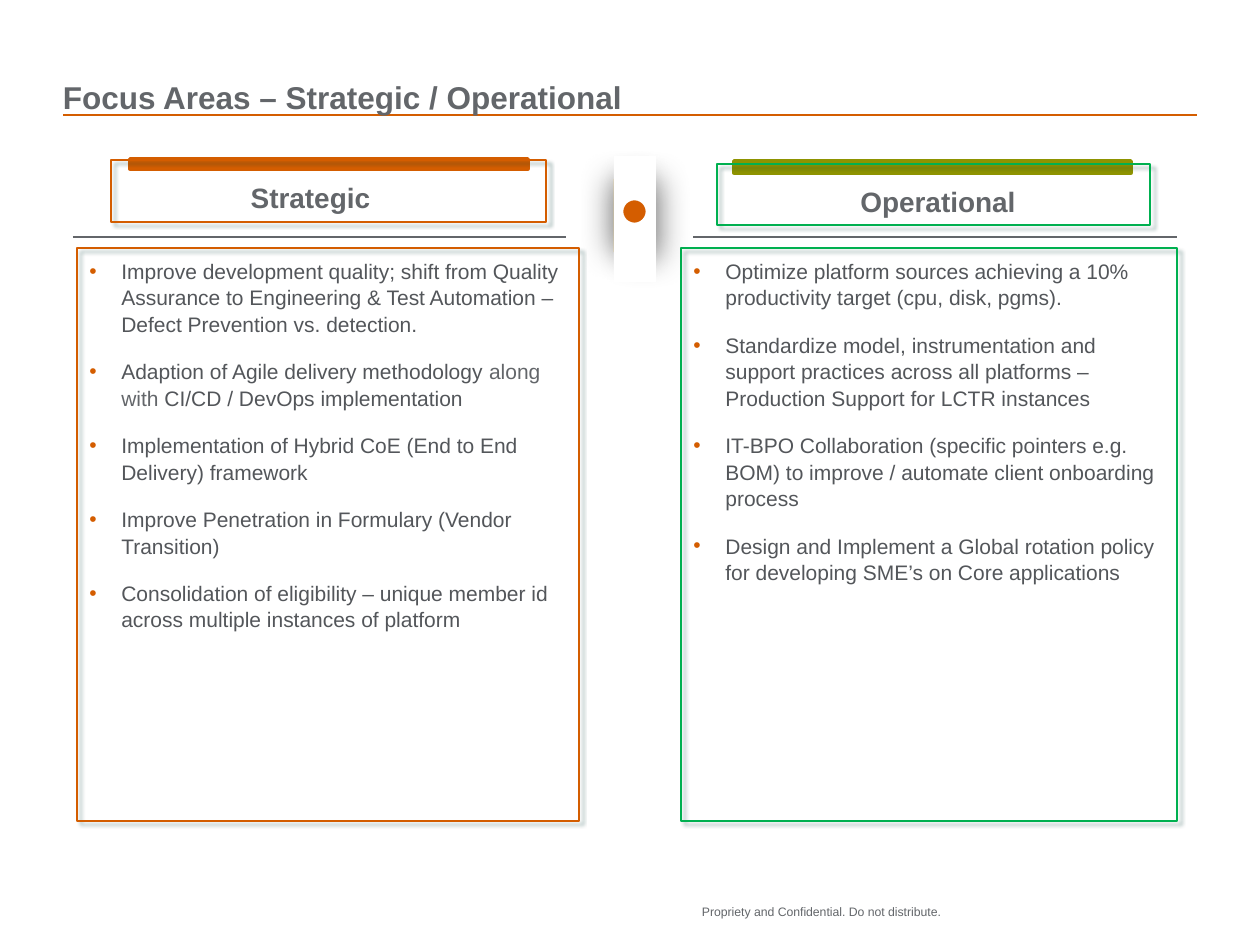
from lxml import etree
from pptx import Presentation
from pptx.dml.color import RGBColor
from pptx.enum.shapes import MSO_CONNECTOR, MSO_SHAPE
from pptx.enum.text import MSO_ANCHOR, PP_ALIGN
from pptx.oxml.ns import qn
from pptx.util import Emu, Pt

EMU_PER_PX = 914400 / 126
FONT = "Arial"
ORANGE, GREEN, OLIVE, GOLD = "D45D00", "00B050", "8E9300", "EAAA00"
GRAY, DARK_GRAY, WHITE = "63666A", "53565A", "FFFFFF"
BOX_SHADOW = ("073C37", 2, 3, 45)

STRATEGIC = [
    ["Improve development quality; shift from Quality Assurance to Engineering "
     "& Test Automation – Defect Prevention vs. detection."],
    ["Adaption of Agile delivery methodology ", "along with ",
     "CI/CD / DevOps implementation"],
    ["Implementation of Hybrid CoE (End to End Delivery) framework"],
    ["Improve Penetration in Formulary (Vendor Transition)"],
    ["Consolidation of eligibility – unique member id across multiple "
     "instances of platform"],
]
OPERATIONAL = [
    ["Optimize platform sources achieving a 10% productivity target "
     "(cpu, disk, pgms)."],
    ["Standardize model, instrumentation and support practices across all "
     "platforms – Production Support for LCTR instances"],
    ["IT-BPO Collaboration (specific pointers e.g. BOM) to improve / automate "
     "client onboarding process"],
    ["Design and Implement a Global rotation policy for developing SME’s on "
     "Core applications"],
]


def px(value):
    return Emu(round(value * EMU_PER_PX))


def color(hex_value):
    return RGBColor.from_string(hex_value)


def add_effects(shape, shadow=None):
    """Write the effect list: empty, or one (color, blur, distance, angle) shadow."""
    effects = etree.SubElement(shape._element.spPr, qn("a:effectLst"))
    if shadow:
        shade, blur, distance, angle = shadow
        outer = etree.SubElement(
            effects, qn("a:outerShdw"), blurRad=str(Pt(blur)),
            dist=str(Pt(distance)), dir=str(angle * 60000), rotWithShape="0")
        rgb = etree.SubElement(outer, qn("a:srgbClr"), val=shade)
        etree.SubElement(rgb, qn("a:alpha"), val="40000")


def add_shape(shapes, box, fill=None, line=None, width=1, shadow=None,
              kind=MSO_SHAPE.RECTANGLE):
    shape = shapes.add_shape(kind, *map(px, box))
    if fill:
        shape.fill.solid()
        shape.fill.fore_color.rgb = color(fill)
    else:
        shape.fill.background()
    if line:
        shape.line.color.rgb = color(line)
        shape.line.width = Pt(width)
    else:
        shape.line.fill.background()
    add_effects(shape, shadow)
    return shape


def add_rule(slide, left, right, y, line):
    rule = slide.shapes.add_connector(
        MSO_CONNECTOR.STRAIGHT, px(left), px(y), px(right), px(y))
    rule.line.color.rgb = color(line)
    rule.line.width = Pt(1)
    add_effects(rule)


def format_font(font, size, ink, bold=False):
    font.name = FONT
    font.size = Pt(size)
    font.bold = bold
    font.color.rgb = color(ink)


def add_text(slide, box, text, size, bold=False, align=PP_ALIGN.LEFT,
             anchor=MSO_ANCHOR.TOP, inset=True, wrap=True):
    frame = slide.shapes.add_textbox(*map(px, box)).text_frame
    frame.word_wrap = wrap
    frame.vertical_anchor = anchor
    if not inset:
        frame.margin_left = frame.margin_right = 0
        frame.margin_top = frame.margin_bottom = 0
    frame.text = text
    paragraph = frame.paragraphs[0]
    paragraph.alignment = align
    format_font(paragraph.runs[0].font, size, GRAY, bold)


def set_bullet(paragraph):
    properties = paragraph._p.get_or_add_pPr()
    properties.set("marL", str(px(32)))
    properties.set("indent", str(px(-32)))
    bullet_color = etree.SubElement(properties, qn("a:buClr"))
    etree.SubElement(bullet_color, qn("a:srgbClr"), val=ORANGE)
    etree.SubElement(properties, qn("a:buFont"), typeface=FONT)
    etree.SubElement(properties, qn("a:buChar"), char="•")


def add_bullets(slide, box, items):
    """Add a bulleted list; every second run of an item is in the lighter gray."""
    frame = slide.shapes.add_textbox(*map(px, box)).text_frame
    frame.word_wrap = True
    for index, parts in enumerate(items):
        paragraph = frame.add_paragraph() if index else frame.paragraphs[0]
        set_bullet(paragraph)
        paragraph.line_spacing = 1.05
        paragraph.space_before = Pt(6 if index else 0)
        paragraph.space_after = Pt(6)
        for number, part in enumerate(parts):
            run = paragraph.add_run()
            run.text = part
            format_font(run.font, 12, GRAY if number % 2 else DARK_GRAY)


def add_column(slide, title, items, panel, header, bar, label, outline, accent):
    left, top, width, height = panel
    add_shape(slide.shapes, panel, line=outline, shadow=BOX_SHADOW)
    add_text(slide, label, title, 16, bold=True, align=PP_ALIGN.CENTER)
    add_shape(slide.shapes, bar, fill=accent, line=accent, width=2)
    add_shape(slide.shapes, header, line=outline, shadow=BOX_SHADOW)
    add_bullets(slide, (left, top + 3, width, height - 3), items)


def add_divider(slide):
    shapes = slide.shapes.add_group_shape().shapes
    add_shape(shapes, (621, 179, 35, 81), fill=WHITE, shadow=("000000", 18, 3, 0))
    add_shape(shapes, (614, 179, 35, 73), fill=GOLD, shadow=("000000", 18, 3, 180))
    add_shape(shapes, (614, 156, 42, 126), fill=WHITE)
    add_shape(shapes, (622, 199, 25, 25), fill=ORANGE, line=WHITE, width=1.5,
              kind=MSO_SHAPE.OVAL)


def main():
    presentation = Presentation()
    presentation.slide_width, presentation.slide_height = px(1260), px(945)
    slide = presentation.slides.add_slide(presentation.slide_layouts[6])

    add_rule(slide, 63, 1197, 115, ORANGE)
    add_text(slide, (702, 904, 262, 31), "Propriety and Confidential. Do not distribute.",
             7, inset=False, wrap=False)
    add_text(slide, (63, 53, 1137, 63), "Focus Areas – Strategic / Operational", 18,
             bold=True, anchor=MSO_ANCHOR.BOTTOM, inset=False)

    add_column(slide, "Operational", OPERATIONAL, panel=(681, 248, 496, 573),
               header=(717, 164, 433, 61), bar=(734, 161, 397, 12),
               label=(771, 178, 334, 47), outline=GREEN, accent=OLIVE)
    add_column(slide, "Strategic", STRATEGIC, panel=(77, 248, 502, 573),
               header=(111, 160, 435, 62), bar=(130, 159, 398, 10),
               label=(198, 174, 225, 47), outline=ORANGE, accent=ORANGE)
    add_divider(slide)
    add_rule(slide, 73, 566, 237, GRAY)
    add_rule(slide, 693, 1177, 237, GRAY)

    presentation.save("out.pptx")


if __name__ == "__main__":
    main()
